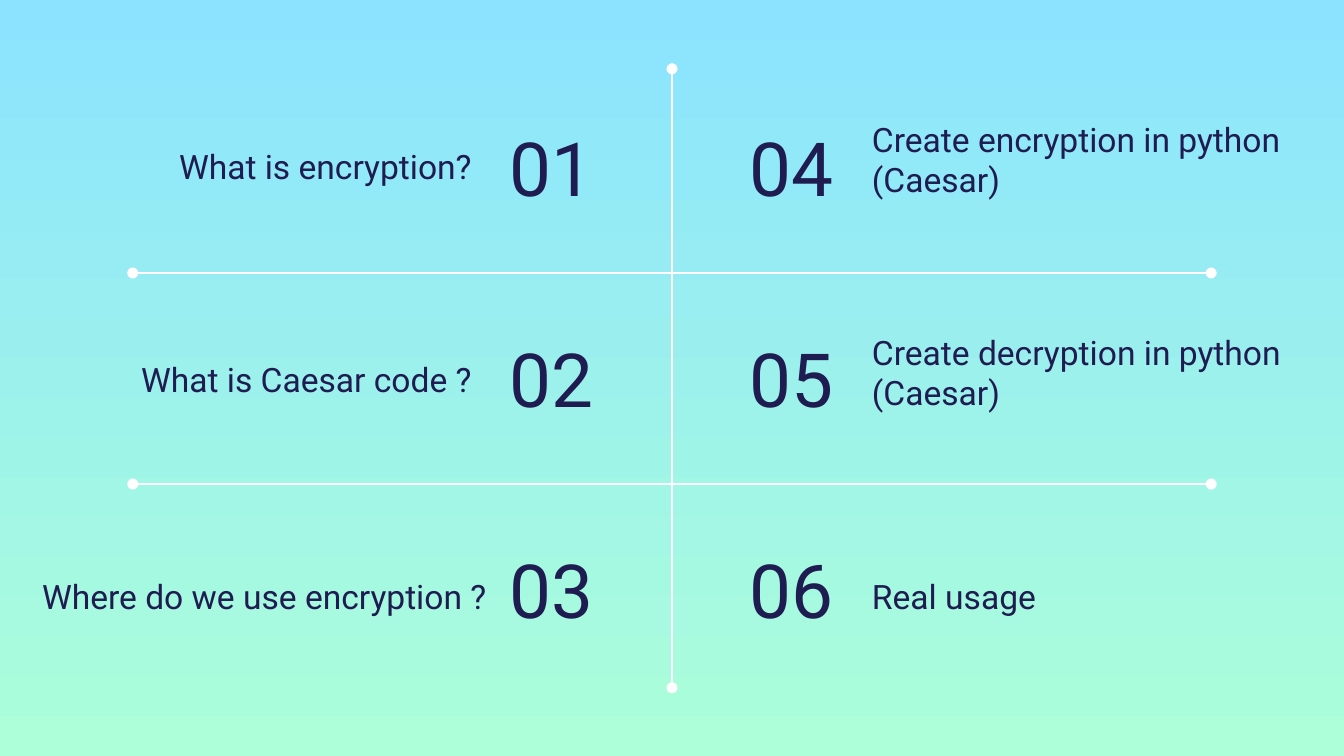
"""Build an agenda slide with six numbered topics in a two-by-three grid."""
from lxml.etree import SubElement
from pptx import Presentation
from pptx.dml.color import RGBColor
from pptx.enum.shapes import MSO_CONNECTOR
from pptx.enum.text import MSO_ANCHOR, MSO_AUTO_SIZE, PP_ALIGN
from pptx.oxml.ns import qn
from pptx.util import Cm, Pt

NAVY = RGBColor(0x1F, 0x1C, 0x51)
WHITE = RGBColor(0xFF, 0xFF, 0xFF)
SKY = RGBColor(0x8B, 0xE3, 0xFF)
MINT = RGBColor(0xAC, 0xFF, 0xD9)

WIDTH, HEIGHT = 25.4, 14.29
CENTER = WIDTH / 2
ROW_PITCH = 3.99
FIRST_NUMBER_TOP = 2.06
FIRST_DIVIDER = 5.16
NUMBER_WIDTH, NUMBER_HEIGHT = 3.3, 2.18
LEFT_NUMBER = 9.38
DIVIDER_MARGIN = 2.51

LEFT_TOPICS = [
    ("What is encryption?", (1.6, 2.51, 7.57, 1.27)),
    ("What is Caesar code ?", (1.6, 6.53, 7.57, 1.27)),
    ("Where do we use encryption ?", (-0.61, 10.62, 10.06, 1.27)),
]
RIGHT_TOPICS = [
    ("Create encryption in python (Caesar)", (16.23, 2.29, 8.51, 1.73)),
    ("Create decryption in python (Caesar)", (16.23, 6.22, 8.71, 1.83)),
    ("Real usage", (16.23, 10.62, 7.57, 1.27)),
]


def paint_background(slide):
    """Fill the slide with a gradient running from top to bottom."""
    fill = slide.background.fill
    fill.gradient()
    fill.gradient_angle = 270
    for stop, color in zip(fill.gradient_stops, (SKY, MINT)):
        stop.color.rgb = color


def write_text(holder, text, box, size, align, anchor):
    """Place a text holder and format its single paragraph."""
    holder.left, holder.top, holder.width, holder.height = map(Cm, box)
    frame = holder.text_frame
    frame.text = text
    frame.word_wrap = True
    frame.auto_size = MSO_AUTO_SIZE.NONE
    frame.vertical_anchor = anchor
    frame.margin_left = frame.margin_right = Cm(0.25)
    frame.margin_top = frame.margin_bottom = Cm(0.25)
    paragraph = frame.paragraphs[0]
    paragraph.alignment = align
    font = paragraph.runs[0].font
    font.name = "Roboto"
    font.size = Pt(size)
    font.color.rgb = NAVY


def add_box(slide):
    """Return a new empty text box."""
    return slide.shapes.add_textbox(0, 0, 0, 0)


def add_topics(slide, topics, first, number_left, number_align, label_align):
    """Add one column of numbers with their labels."""
    for row, (label, label_box) in enumerate(topics):
        number = first + row
        holder = slide.shapes.title if number == 1 else add_box(slide)
        number_top = FIRST_NUMBER_TOP + row * ROW_PITCH
        number_box = (number_left, number_top, NUMBER_WIDTH, NUMBER_HEIGHT)
        write_text(holder, f"{number:02}", number_box, 40, number_align, MSO_ANCHOR.MIDDLE)
        write_text(add_box(slide), label, label_box, 18, label_align, MSO_ANCHOR.BOTTOM)


def add_divider(slide, *ends):
    """Add a white line with a dot at each end."""
    divider = slide.shapes.add_connector(MSO_CONNECTOR.STRAIGHT, *map(Cm, ends))
    divider.line.color.rgb = WHITE
    divider.line.width = Pt(1.5)
    outline = divider.line._get_or_add_ln()
    for tag in ("a:headEnd", "a:tailEnd"):
        SubElement(outline, qn(tag), type="oval")
    SubElement(divider._element.spPr, qn("a:effectLst"))


def main():
    """Build and save the slide."""
    deck = Presentation()
    deck.slide_width, deck.slide_height = Cm(WIDTH), Cm(HEIGHT)
    slide = deck.slides.add_slide(deck.slide_layouts[5])
    paint_background(slide)
    add_divider(slide, CENTER, 1.3, CENTER, 13)
    for row in range(2):
        height = FIRST_DIVIDER + row * ROW_PITCH
        add_divider(slide, DIVIDER_MARGIN, height, WIDTH - DIVIDER_MARGIN, height)
    add_topics(slide, LEFT_TOPICS, 1, LEFT_NUMBER, PP_ALIGN.LEFT, PP_ALIGN.RIGHT)
    add_topics(slide, RIGHT_TOPICS, 4, CENTER, PP_ALIGN.RIGHT, PP_ALIGN.LEFT)
    deck.save("out.pptx")


if __name__ == "__main__":
    main()
